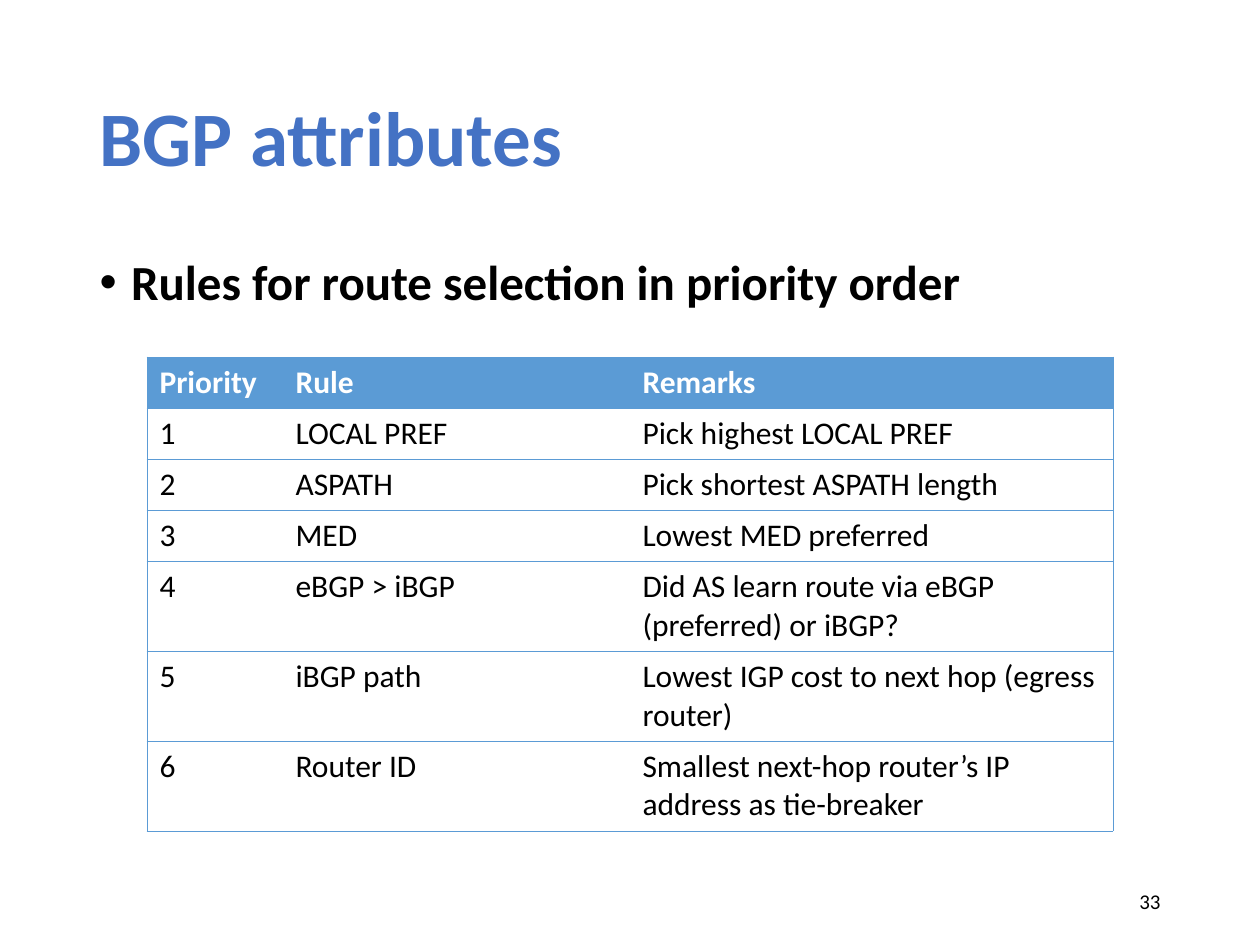
from lxml import etree
from pptx import Presentation
from pptx.dml.color import RGBColor
from pptx.enum.text import MSO_ANCHOR as Anchor, PP_ALIGN as Align
from pptx.oxml.ns import qn
from pptx.util import Emu, Pt

EMU_PER_PX = 914400 / 126
TITLE_BLUE = RGBColor(0x44, 0x72, 0xC4)
TABLE_BLUE = RGBColor(0x5B, 0x9B, 0xD5)
BLACK = RGBColor(0, 0, 0)
WHITE = RGBColor(0xFF, 0xFF, 0xFF)
FONT = "Calibri"

COL_WIDTHS = [136, 347, 483]
ROW_HEIGHTS = [51, 51, 51, 51, 90, 89, 90]
RULES = [
    ("Priority", "Rule", "Remarks"),
    ("1", "LOCAL PREF", "Pick highest LOCAL PREF"),
    ("2", "ASPATH", "Pick shortest ASPATH length"),
    ("3", "MED", "Lowest MED preferred"),
    ("4", "eBGP > iBGP", "Did AS learn route via eBGP (preferred) or iBGP?"),
    ("5", "iBGP path", "Lowest IGP cost to next hop (egress router)"),
    ("6", "Router ID", "Smallest next-hop router’s IP address as tie-breaker"),
]


def px(n):
    return Emu(round(n * EMU_PER_PX))


def place(sp, box):
    sp.left, sp.top, sp.width, sp.height = map(px, box)


def write(tf, text, size, color=BLACK, bold=False, align=Align.LEFT, spacing=None):
    tf.word_wrap = True
    p = tf.paragraphs[0]
    p.alignment = align
    p.line_spacing = spacing
    r = p.add_run()
    r.text = text
    r.font.name, r.font.size, r.font.bold = FONT, Pt(size), bold
    r.font.color.rgb = color
    return p


def add_title(slide, box):
    sp = slide.shapes.title
    place(sp, box)
    sp.text_frame.vertical_anchor = Anchor.MIDDLE
    write(sp.text_frame, "BGP attributes", 44, TITLE_BLUE, bold=True, spacing=0.9)


def add_body(slide, box):
    sp = slide.placeholders[1]
    place(sp, box)
    p = write(sp.text_frame, "Rules for route selection in priority order", 28,
              bold=True, spacing=0.9)
    p.space_before = Pt(0)
    pPr = p._p.get_or_add_pPr()
    pPr.set("marL", "228600")
    pPr.set("indent", "-228600")
    etree.SubElement(pPr, qn("a:buFont")).set("typeface", "Arial")
    etree.SubElement(pPr, qn("a:buChar")).set("char", "•")


def set_borders(cell, sides):
    """Draw the named sides of a cell and clear the others."""
    tcPr = cell._tc.get_or_add_tcPr()
    for side in "LRTB":
        ln = etree.SubElement(tcPr, qn(f"a:ln{side}"), w=str(Pt(0.5)))
        if side in sides:
            fill = etree.SubElement(ln, qn("a:solidFill"))
            etree.SubElement(fill, qn("a:srgbClr"), val=str(TABLE_BLUE))
        else:
            etree.SubElement(ln, qn("a:noFill"))


def add_rules_table(slide, left, top):
    box = (left, top, sum(COL_WIDTHS), sum(ROW_HEIGHTS))
    table = slide.shapes.add_table(len(RULES), len(COL_WIDTHS), *map(px, box)).table
    table.horz_banding = False
    for col, width in zip(table.columns, COL_WIDTHS):
        col.width = px(width)
    for row, height in zip(table.rows, ROW_HEIGHTS):
        row.height = px(height)
    sides = ["TBL", "TB", "TBR"]
    for i, rule in enumerate(RULES):
        header = i == 0
        for j, text in enumerate(rule):
            cell = table.cell(i, j)
            set_borders(cell, sides[j])
            if header:
                cell.fill.solid()
                cell.fill.fore_color.rgb = TABLE_BLUE
            else:
                cell.fill.background()
            write(cell.text_frame, text, 18, WHITE if header else BLACK, bold=header)


def add_page_number(slide, box):
    tf = slide.shapes.add_textbox(*map(px, box)).text_frame
    tf.vertical_anchor = Anchor.MIDDLE
    write(tf, "33", 12, align=Align.RIGHT)


def main():
    prs = Presentation()
    prs.slide_width, prs.slide_height = px(1260), px(945)
    slide = prs.slides.add_slide(prs.slide_layouts[1])
    add_title(slide, (87, 50, 1086, 183))
    add_body(slide, (87, 252, 1086, 600))
    add_rules_table(slide, 147, 357)
    add_page_number(slide, (890, 876, 283, 50))
    prs.save("out.pptx")


if __name__ == "__main__":
    main()
